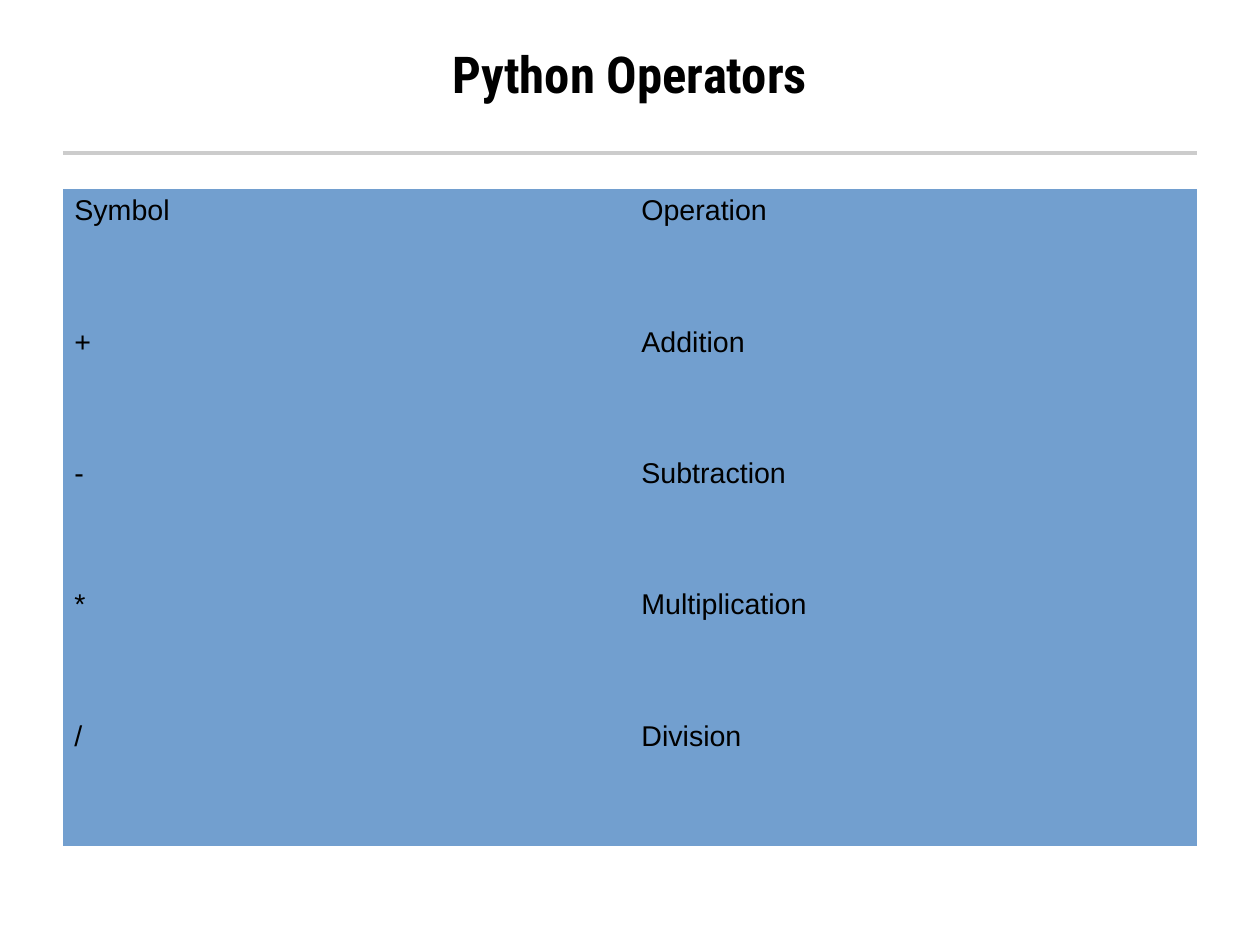
from lxml.etree import SubElement
from pptx import Presentation
from pptx.dml.color import RGBColor
from pptx.enum.shapes import MSO_CONNECTOR
from pptx.enum.text import MSO_ANCHOR, PP_ALIGN
from pptx.oxml.ns import qn
from pptx.util import Pt

TITLE = "Python Operators"
OPERATORS = [
    ("Symbol", "Operation"),
    ("+", "Addition"),
    ("-", "Subtraction"),
    ("*", "Multiplication"),
    ("/", "Division"),
]
BLACK, GREY, BLUE = "000000", "CCCCCC", "729FCF"

SCALE = 8000  # EMU in one px
SLIDE_W, SLIDE_H = 1260, 945
MARGIN = 63
CONTENT_W = SLIDE_W - 2 * MARGIN
TITLE_TOP, TITLE_H = 20, 106
RULE_Y = 153
TABLE_TOP, TABLE_H = 189, 657


def px(n):
    return n * SCALE


def rgb(color):
    return RGBColor.from_string(color)


def write(tf, text, size=18, font="Arial", color=BLACK, bold=False, align=PP_ALIGN.LEFT):
    p = tf.paragraphs[0]
    p.alignment = align
    r = p.add_run()
    r.text = text
    r.font.size = Pt(size)
    r.font.name = font
    r.font.bold = bold
    r.font.color.rgb = rgb(color)


def add_title(s):
    sp = s.shapes.add_textbox(px(MARGIN), px(TITLE_TOP), px(CONTENT_W), px(TITLE_H))
    tf = sp.text_frame
    tf.word_wrap = True
    tf.vertical_anchor = MSO_ANCHOR.MIDDLE
    tf.margin_left = tf.margin_top = tf.margin_right = tf.margin_bottom = 0
    write(tf, TITLE, size=32, font="Roboto Condensed", bold=True, align=PP_ALIGN.CENTER)


def add_rule(s):
    rule = s.shapes.add_connector(
        MSO_CONNECTOR.STRAIGHT, px(MARGIN), px(RULE_Y), px(MARGIN + CONTENT_W), px(RULE_Y)
    )
    rule.line.color.rgb = rgb(GREY)
    rule.line.width = 0
    SubElement(rule._element.spPr, qn("a:effectLst"))


def clear_borders(cell):
    tc_pr = cell._tc.get_or_add_tcPr()
    for side in ("L", "R", "T", "B"):
        SubElement(SubElement(tc_pr, qn(f"a:ln{side}")), qn("a:noFill"))


def add_operator_table(s):
    table = s.shapes.add_table(
        len(OPERATORS), len(OPERATORS[0]),
        px(MARGIN), px(TABLE_TOP), px(CONTENT_W), px(TABLE_H),
    ).table
    table.first_row = table.horz_banding = False
    for i, row in enumerate(OPERATORS):
        for j, text in enumerate(row):
            cell = table.cell(i, j)
            clear_borders(cell)
            cell.fill.solid()
            cell.fill.fore_color.rgb = rgb(BLUE)
            write(cell.text_frame, text)


def main():
    prs = Presentation()
    prs.slide_width, prs.slide_height = px(SLIDE_W), px(SLIDE_H)
    s = prs.slides.add_slide(prs.slide_layouts[6])
    add_rule(s)
    add_title(s)
    add_operator_table(s)
    prs.save("out.pptx")


if __name__ == "__main__":
    main()
